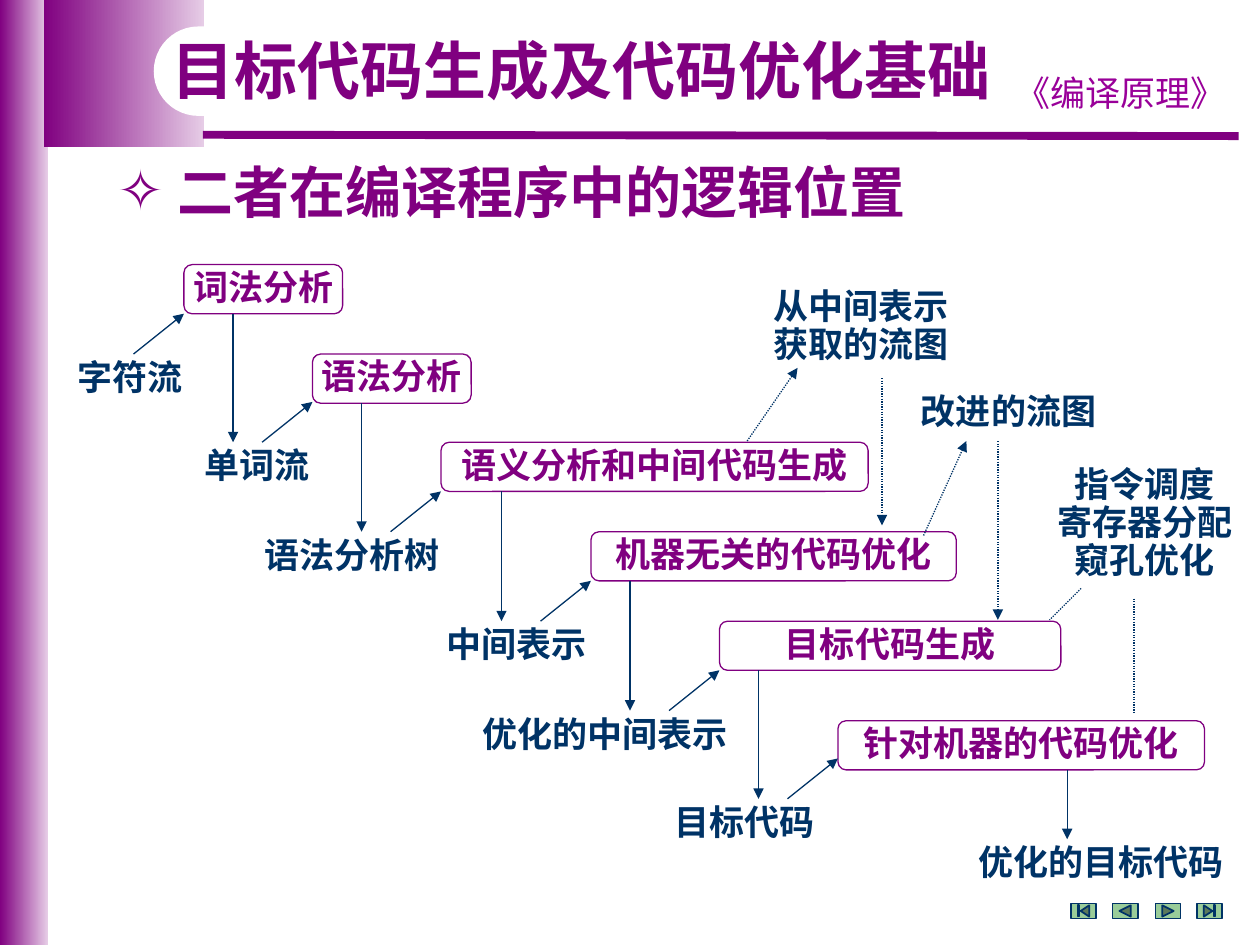
from typing import NamedTuple

from lxml.etree import SubElement
from pptx import Presentation
from pptx.dml.color import RGBColor
from pptx.enum.dml import MSO_LINE
from pptx.enum.shapes import MSO_CONNECTOR, MSO_SHAPE
from pptx.enum.text import MSO_ANCHOR, MSO_AUTO_SIZE, PP_ALIGN
from pptx.oxml.ns import qn
from pptx.util import Pt

PX = 9144  # EMU per px, 100 px to the inch
PURPLE = RGBColor(0x80, 0x00, 0x80)
LILAC = RGBColor(0xE6, 0xCC, 0xE6)
MAGENTA = RGBColor(0x99, 0x00, 0x99)
NAVY = RGBColor(0x00, 0x33, 0x66)
GREEN = RGBColor(0x99, 0xCC, 0x99)
WHITE = RGBColor(0xFF, 0xFF, 0xFF)
LATIN, CJK, COMIC = "Arial", "Noto Sans CJK SC", "Comic Neue"

ROW_STEP = 70.7
STAGE_HEIGHT = 39
LABEL_HEIGHT = 40
SOURCE = ("字符流", 1, 104)
# stage, left, width, offset of its output arrow, (output, left, width)
STAGES = [
    ("词法分析", 96, 126, 39, ("单词流", 102, 104)),
    ("语法分析", 198, 126, 39, ("语法分析树", 143, 173)),
    ("语义分析和中间代码生成", 300, 339, 48, ("中间表示", 293, 134)),
    ("机器无关的代码优化", 419, 290, 31, ("优化的中间表示", 316, 228)),
    ("目标代码生成", 521, 271, 31, ("目标代码", 474, 134)),
    ("针对机器的代码优化", 615, 291, 182, ("优化的目标代码", 710, 228)),
]
# text, its place, dotted lines, whether they have arrowheads
REMARKS = [
    ("从中间表示获取的流图", (550, 15, 167, 70),
     [(543, 140, 583, 82), (650, 90, 650, 207)], True),
    ("改进的流图", (667, 98, 167, 40),
     [(683, 215, 717, 140), (742, 140, 742, 282)], True),
    ("指令调度\n寄存器分配\n窥孔优化", (775, 156, 167, 100),
     [(850, 265, 850, 357), (808, 257, 783, 282)], False),
]


class Box(NamedTuple):
    left: int
    top: int
    width: int
    height: int

    def inner(self, left, top, width, height):
        return Box(self.left + left, self.top + top, width, height)

    def emu(self):
        return [length * PX for length in self]


def write(shape, text, size, color, font=LATIN, bold=True, spacing=0.9,
          align=PP_ALIGN.CENTER, anchor=MSO_ANCHOR.TOP, wrap=True):
    frame = shape.text_frame
    frame.text = text
    frame.word_wrap = wrap
    frame.auto_size = MSO_AUTO_SIZE.NONE
    frame.vertical_anchor = anchor
    for para in frame.paragraphs:
        para.alignment = align
        para.line_spacing = spacing
        para.space_before = Pt(0)
        for span in para.runs:
            span.font.size = Pt(size)
            span.font.bold = bold
            span.font.name = font
            span.font.color.rgb = color
            SubElement(span.font._element, qn("a:ea"), typeface=CJK)


def add_label(page, box, text, size=20, color=NAVY, **style):
    write(page.shapes.add_textbox(*box.emu()), text, size, color, **style)


def add_panel(page, kind, box, fill, line=None, width=0.75):
    """Add a preset shape; a fill of None gives the purple gradient."""
    panel = page.shapes.add_shape(kind, *box.emu())
    panel.shadow.inherit = False
    if fill is None:
        panel.fill.gradient()
        panel.fill.gradient_angle = 0
        for stop, color in zip(panel.fill.gradient_stops, (PURPLE, LILAC)):
            stop.color.rgb = color
    else:
        panel.fill.solid()
        panel.fill.fore_color.rgb = fill
    if line is None:
        panel.line.fill.background()
    else:
        panel.line.color.rgb = line
        panel.line.width = Pt(width)
    return panel


def add_line(page, box, ends, color=NAVY, width=0.75, dotted=False, arrow=True):
    """Draw a line between two points given relative to the box."""
    x1, y1, x2, y2 = ends
    points = (box.left + x1, box.top + y1, box.left + x2, box.top + y2)
    line = page.shapes.add_connector(
        MSO_CONNECTOR.STRAIGHT, *[length * PX for length in points])
    line.line.color.rgb = color
    line.line.width = Pt(width)
    if dotted:
        line.line.dash_style = MSO_LINE.ROUND_DOT
    properties = line.element.spPr
    if arrow:
        SubElement(properties.find(qn("a:ln")), qn("a:tailEnd"), type="triangle")
    SubElement(properties, qn("a:effectLst"))


def draw_frame(page, box):
    add_panel(page, MSO_SHAPE.RECTANGLE, box.inner(0, 0, 38, box.height), None)
    add_panel(page, MSO_SHAPE.RECTANGLE, box.inner(35, 0, 127, 117), None)
    add_line(page, box, (161, 107, 983, 108), PURPLE, 4.5, arrow=False)
    add_label(page, box.inner(791, 52, 197, 43), "《编译原理》", 20, MAGENTA,
              font=COMIC, bold=False, spacing=1.0)
    pill = add_panel(page, MSO_SHAPE.ROUNDED_RECTANGLE,
                     box.inner(122, 21, 362, 71), WHITE)
    pill.adjustments[0] = 0.5


def fill_title(page, box):
    title = page.shapes.title
    title.left, title.top, title.width, title.height = box.emu()
    write(title, "目标代码生成及代码优化基础", 36, PURPLE, font=CJK,
          align=PP_ALIGN.LEFT)
    title.element.getparent().append(title.element)  # in front of the frame


def fill_heading(page, box):
    body = page.placeholders[1]
    body.left, body.top, body.width, body.height = box.emu()
    write(body, "二者在编译程序中的逻辑位置", 32, PURPLE, font=CJK,
          spacing=1.0, align=PP_ALIGN.LEFT)
    properties = body.text_frame.paragraphs[0]._p.get_or_add_pPr()
    properties.set("marL", str(48 * PX))
    properties.set("indent", str(-48 * PX))
    SubElement(properties, qn("a:buChar"), char="✧")


def draw_pipeline(page, box):
    last = len(STAGES) - 1
    input_top = round(ROW_STEP)
    name, left, width = SOURCE
    add_label(page, box.inner(left, input_top, width, LABEL_HEIGHT), name)
    for index, (stage, left, width, drop, output) in enumerate(STAGES):
        top = round(index * ROW_STEP) + (8 if index == last else 0)
        output_top = 456 if index == last else round((index + 2) * ROW_STEP)
        panel = add_panel(page, MSO_SHAPE.ROUNDED_RECTANGLE,
                          box.inner(left, top, width, STAGE_HEIGHT),
                          WHITE, PURPLE)
        write(panel, stage, 20, PURPLE, anchor=MSO_ANCHOR.MIDDLE, wrap=False)
        add_line(page, box, (left - 40, input_top, left, input_top - 32))
        add_line(page, box, (left + drop, top + STAGE_HEIGHT,
                             left + drop, output_top))
        name, output_left, output_width = output
        add_label(page, box.inner(output_left, output_top, output_width,
                                  LABEL_HEIGHT), name)
        input_top = output_top


def draw_remarks(page, box):
    for text, place, lines, arrow in REMARKS:
        add_label(page, box.inner(*place), text)
        for ends in lines:
            add_line(page, box, ends, dotted=True, arrow=arrow)


def draw_navigation(page, box):
    kinds = (MSO_SHAPE.ACTION_BUTTON_BEGINNING,
             MSO_SHAPE.ACTION_BUTTON_BACK_OR_PREVIOUS,
             MSO_SHAPE.ACTION_BUTTON_FORWARD_OR_NEXT,
             MSO_SHAPE.ACTION_BUTTON_END)
    width = 20
    step = (box.width - width) / (len(kinds) - 1)
    for index, kind in enumerate(kinds):
        add_panel(page, kind, box.inner(round(index * step), 0, width, box.height),
                  GREEN, NAVY, 1)


def main():
    deck = Presentation()
    deck.slide_width, deck.slide_height = 1000 * PX, 750 * PX
    page = deck.slides.add_slide(deck.slide_layouts[1])
    draw_frame(page, Box(0, 0, 1000, 750))
    fill_title(page, Box(126, 27, 673, 64))
    fill_heading(page, Box(83, 120, 759, 63))
    diagram = Box(50, 210, 942, 496)
    draw_pipeline(page, diagram)
    draw_remarks(page, diagram)
    draw_navigation(page, Box(850, 717, 120, 12))
    deck.save("out.pptx")


if __name__ == "__main__":
    main()
